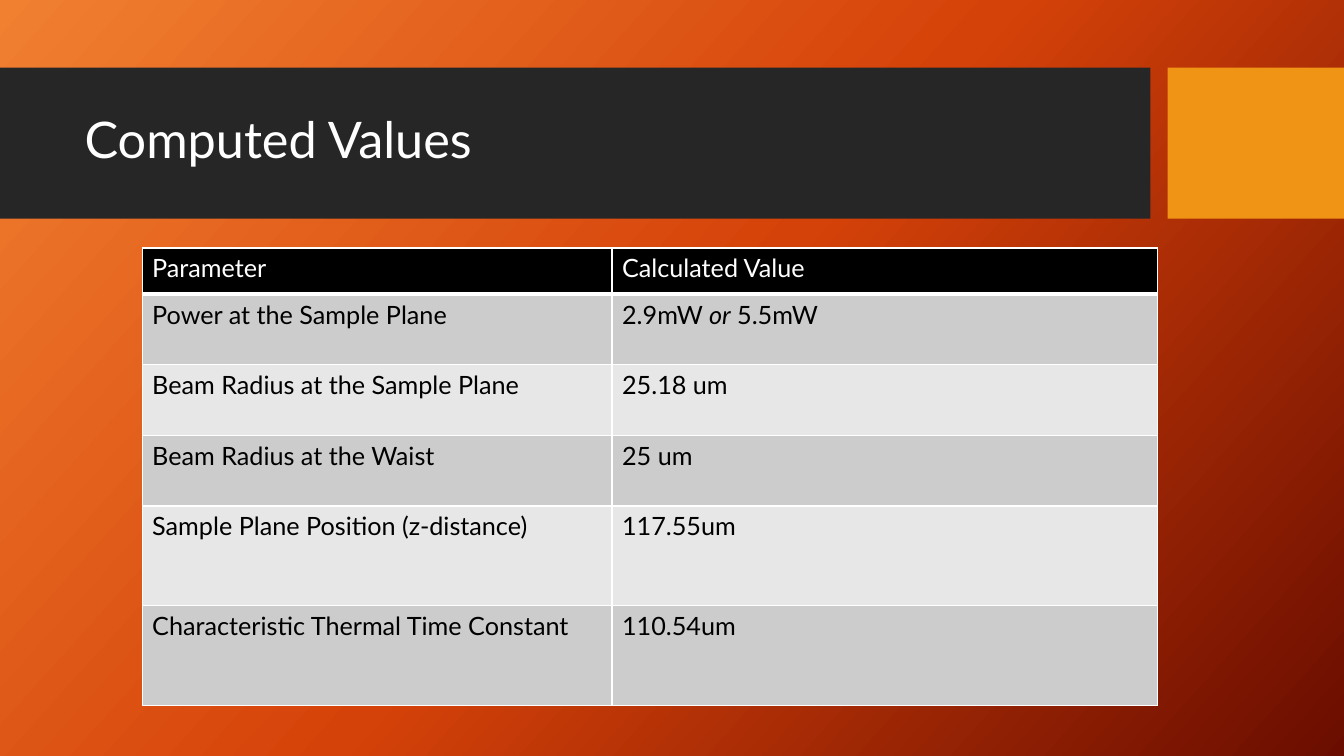
from copy import deepcopy

from lxml.etree import SubElement
from pptx import Presentation
from pptx.dml.color import RGBColor
from pptx.enum.shapes import MSO_SHAPE
from pptx.enum.text import MSO_ANCHOR
from pptx.oxml.ns import qn
from pptx.util import Inches, Pt

FONT = "Lato"
WHITE = RGBColor(0xFF, 0xFF, 0xFF)
BLACK = RGBColor(0, 0, 0)
DARK = RGBColor(0x26, 0x26, 0x26)
AMBER = RGBColor(0xF0, 0x94, 0x15)
BANDS = [RGBColor(0xCC, 0xCC, 0xCC), RGBColor(0xE7, 0xE7, 0xE7)]
GLOW = [(0, RGBColor(0xF1, 0x80, 0x31)),
        (0.5, RGBColor(0xD5, 0x42, 0x09)),
        (1, RGBColor(0x6A, 0x0D, 0x00))]

# Each cell is a list of runs; every second run is italic
ROWS = [
    (["Parameter"], ["Calculated Value"]),
    (["Power at the Sample Plane"], ["2.9mW ", "or", " 5.5mW"]),
    (["Beam Radius at the Sample Plane"], ["25.18 um"]),
    (["Beam Radius at the Waist"], ["25 um"]),
    (["Sample Plane Position (z-distance)"], ["117.55um"]),
    (["Characteristic Thermal Time Constant"], ["110.54um"]),
]
WIDTHS = [4.66, 5.41]
HEIGHTS = [0.46, 0.7, 0.7, 0.7, 0.99, 0.99]


def style(run, size, color):
    run.font.name = FONT
    run.font.size = Pt(size)
    run.font.color.rgb = color


def paint(slide):
    """Fill the background with the three-stop gradient."""
    fill = slide.background.fill
    fill.gradient()
    fill.gradient_angle = 360 - 42
    stops = slide.element.find(".//" + qn("a:gsLst"))
    stops.insert(1, deepcopy(stops[0]))
    for stop, (place, color) in zip(fill.gradient_stops, GLOW):
        stop.position = place
        stop.color.rgb = color


def block(slide, x, y, w, h, color):
    shape = slide.shapes.add_shape(
        MSO_SHAPE.RECTANGLE, Inches(x), Inches(y), Inches(w), Inches(h))
    shape.shadow.inherit = False
    shape.fill.solid()
    shape.fill.fore_color.rgb = color
    shape.line.fill.background()


def banner(slide, x, y, w, h, title):
    """Draw the dark title bar and the amber block at its right end."""
    end, gap = 1.75, 0.17
    bar = w - end - gap
    block(slide, x, y, bar, h, DARK)
    block(slide, x + w - end, y, end, h, AMBER)

    box = slide.shapes.add_textbox(
        Inches(x + 0.74), Inches(y + 0.15), Inches(bar - 0.9), Inches(1.18))
    frame = box.text_frame
    frame.word_wrap = True
    frame.vertical_anchor = MSO_ANCHOR.MIDDLE
    frame.text = title
    line = frame.paragraphs[0]
    line.line_spacing = 0.9
    style(line.runs[0], 36, WHITE)


def border(cell, base):
    """Add white cell edges, the bottom one with its own width."""
    props = cell._tc.get_or_add_tcPr()
    widths = {"a:lnL": 1, "a:lnR": 1, "a:lnT": 1, "a:lnB": base}
    for tag, width in widths.items():
        edge = SubElement(props, qn(tag), w=str(Pt(width)))
        fill = SubElement(edge, qn("a:solidFill"))
        SubElement(fill, qn("a:srgbClr"), val=str(WHITE))


def grid(slide, x, y, w, h):
    """Draw the table of computed values."""
    table = slide.shapes.add_table(
        len(ROWS), len(WIDTHS), Inches(x), Inches(y), Inches(w), Inches(h)).table
    for col, width in zip(table.columns, WIDTHS):
        col.width = Inches(width)
    for r, (row, height) in enumerate(zip(ROWS, HEIGHTS)):
        table.rows[r].height = Inches(height)
        head = r == 0
        for c, parts in enumerate(row):
            cell = table.cell(r, c)
            border(cell, 3 if head else 1)
            cell.fill.solid()
            cell.fill.fore_color.rgb = BLACK if head else BANDS[(r - 1) % 2]
            line = cell.text_frame.paragraphs[0]
            for i, part in enumerate(parts):
                run = line.add_run()
                run.text = part
                run.font.bold = False
                run.font.italic = i % 2 == 1
                style(run, 18, WHITE if head else BLACK)


def main():
    deck = Presentation()
    deck.slide_width = Inches(13.33)
    deck.slide_height = Inches(7.5)
    slide = deck.slides.add_slide(deck.slide_layouts[6])
    paint(slide)
    banner(slide, 0, 0.67, 13.33, 1.5, "Computed Values")
    grid(slide, 1.41, 2.46, sum(WIDTHS), sum(HEIGHTS))
    deck.save("out.pptx")


if __name__ == "__main__":
    main()
